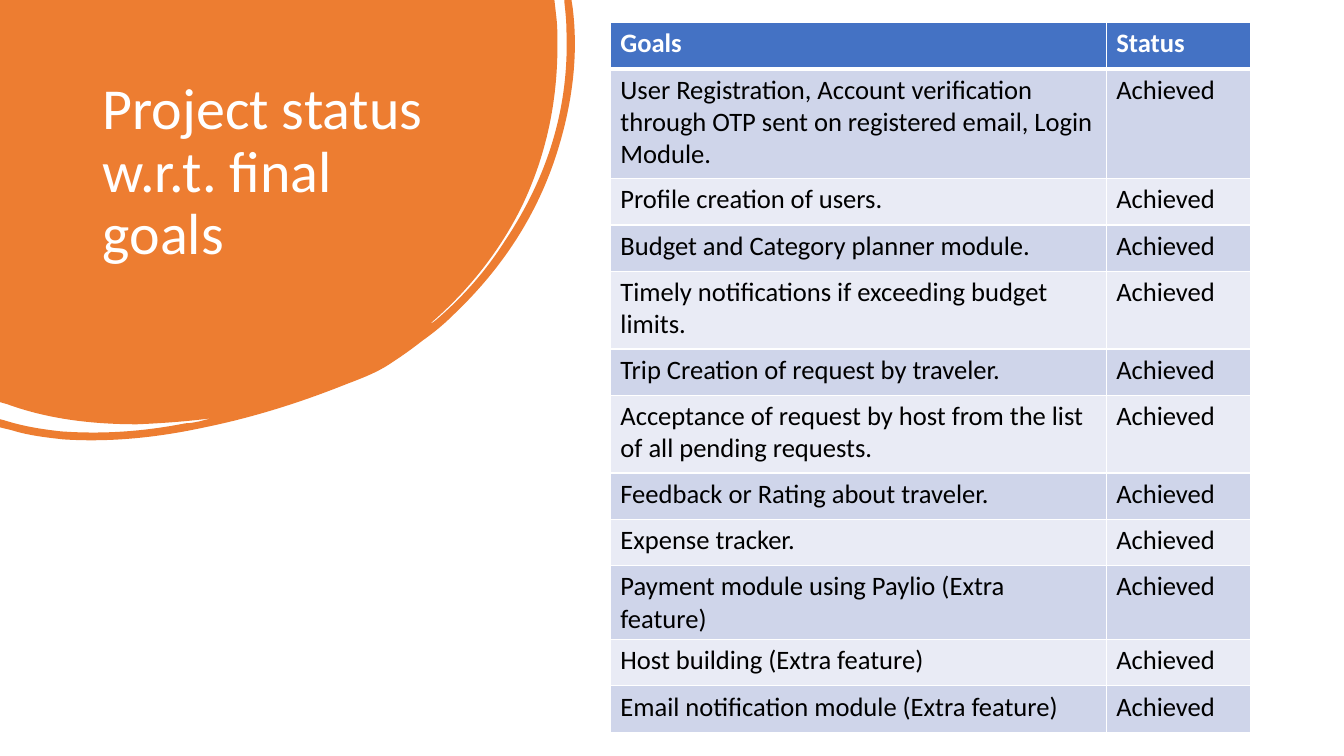
from lxml import etree
from pptx import Presentation
from pptx.dml.color import RGBColor
from pptx.enum.text import MSO_ANCHOR
from pptx.oxml.ns import qn
from pptx.util import Pt

TOP = MSO_ANCHOR.TOP
FONT = "Calibri"
ORANGE, BLUE, WHITE, BLACK = "ED7D31", "4472C4", "FFFFFF", "000000"
BANDS = ("CFD5EA", "E9EBF5")

BLOB_SIZE = (411.1, 314.6)
BLOB_START = (0, 0)
BLOB_SEGMENTS = [
    (396, 0),
    (397.4, 12.2),
    (398.2, 18.7, 398.2, 25.9, 398.2, 32.4),
    (398.2, 72.7, 390.2, 110.9, 373, 146.9),
    (357.1, 179.3, 334.8, 207.4, 307.4, 231.1),
    (308.9, 231.1, 309.6, 229.7, 311, 229),
    (330.5, 212.4, 347, 193.7, 360.7, 172.1),
    (391, 126.7, 406.8, 77, 404.6, 21.6),
    (404.6, 15.1, 403.9, 8.6, 403.2, 2.2),
    (403.2, 0),
    (408.2, 0),
    (409, 5),
    (413.3, 38.9, 409, 73.4, 398.2, 108),
    (383.8, 154.1, 357.8, 193, 322.6, 226.1),
    (316.1, 232.6, 308.9, 238.3, 301.7, 243.4),
    (294.5, 249.1, 287.3, 254.2, 278.6, 259.9),
    (270, 265.7, 259.2, 270, 247.7, 274.3),
    (215.3, 287.3, 181.4, 298.1, 146.2, 305.3),
    (113, 312.5, 79.2, 316.1, 45.4, 313.9),
    (32.4, 312.5, 20.2, 311, 8.6, 307.4),
    (0, 305.3),
    (0, 299.5),
    (2.9, 300.2),
    (16.6, 304.6, 30.2, 306.7, 43.9, 308.2),
    (74.2, 310.3, 103, 308.2, 132.5, 302.4),
    (136.1, 302.4, 139, 301.7, 142.6, 301),
    (145.4, 300.2, 148.3, 299.5, 151.2, 298.8),
    (133.9, 301, 115.9, 302.4, 97.9, 303.1),
    (66.2, 303.1, 34.6, 299.5, 5, 288.7),
    (0, 287.3),
]

ONE_LINE, TWO_LINES, THREE_LINES = 33.1, 55.5, 78.4
GOALS = [
    ("User Registration, Account verification through OTP sent on "
     "registered email, Login Module.", THREE_LINES),
    ("Profile creation of users.", ONE_LINE),
    ("Budget and Category planner module.", ONE_LINE),
    ("Timely notifications if exceeding budget limits.", TWO_LINES),
    ("Trip Creation of request by traveler.", ONE_LINE),
    ("Acceptance of request by host from the list of all pending requests.", TWO_LINES),
    ("Feedback or Rating about traveler.", ONE_LINE),
    ("Expense tracker.", ONE_LINE),
    ("Payment module using Paylio (Extra feature)", ONE_LINE),
    ("Host building (Extra feature)", ONE_LINE),
    ("Email notification module (Extra feature)", ONE_LINE),
]
COLUMN_WIDTHS = (354.2, 103.2)


def color(hex_value):
    return RGBColor.from_string(hex_value)


def write(frame, text, size=19, ink=BLACK, bold=False, spacing=None):
    paragraph = frame.paragraphs[0]
    paragraph.line_spacing = spacing
    run = paragraph.add_run()
    run.text = text
    run.font.name = FONT
    run.font.size = Pt(size)
    run.font.bold = bold
    run.font.color.rgb = color(ink)


def bend(line, numbers):
    line.tag = qn("a:cubicBezTo")
    for child in list(line):
        line.remove(child)
    for x, y in zip(numbers[::2], numbers[1::2]):
        etree.SubElement(line, qn("a:pt"), x=str(Pt(x)), y=str(Pt(y)))


def border(cell, widths):
    properties = cell._tc.get_or_add_tcPr()
    for position, (side, width) in enumerate(zip("LRTB", widths)):
        line = etree.Element(qn(f"a:ln{side}"), w=str(Pt(width)))
        fill = etree.SubElement(line, qn("a:solidFill"))
        etree.SubElement(fill, qn("a:srgbClr"), val=WHITE)
        properties.insert(position, line)


class StatusSlide:
    def __init__(self, presentation):
        self.shapes = presentation.slides.add_slide(presentation.slide_layouts[6]).shapes

    def outline(self, start, segments, size, fill):
        builder = self.shapes.build_freeform(Pt(start[0]), Pt(start[1]))
        builder.add_line_segments([(Pt(s[-2]), Pt(s[-1])) for s in segments], close=True)
        shape = builder.convert_to_shape()
        shape.width, shape.height = Pt(size[0]), Pt(size[1])
        contour = next(shape._element.iter(qn("a:path")))
        contour.set("w", str(Pt(size[0])))
        contour.set("h", str(Pt(size[1])))
        for line, segment in zip(contour.findall(qn("a:lnTo")), segments):
            if len(segment) == 6:
                bend(line, segment)
        shape.shadow.inherit = False
        shape.fill.solid()
        shape.fill.fore_color.rgb = color(fill)
        shape.line.fill.background()

    def title(self, text, left, top, width, height):
        frame = self.shapes.add_textbox(Pt(left), Pt(top), Pt(width), Pt(height)).text_frame
        frame.word_wrap = True
        frame.vertical_anchor = TOP
        write(frame, text, size=41.4, ink=WHITE, spacing=0.9)

    def goals_table(self, left, top):
        heights = [ONE_LINE] + [height for _, height in GOALS]
        table = self.shapes.add_table(
            len(heights), len(COLUMN_WIDTHS), Pt(left), Pt(top),
            Pt(sum(COLUMN_WIDTHS)), Pt(sum(heights))).table
        for column, width in zip(table.columns, COLUMN_WIDTHS):
            column.width = Pt(width)
        for row, height in zip(table.rows, heights):
            row.height = Pt(height)
        self.table_row(table, 0, ("Goals", "Status"), BLUE, (1, 1, 1, 3), ink=WHITE, bold=True)
        for index, (goal, _) in enumerate(GOALS):
            above = 1 if index else 3
            self.table_row(table, index + 1, (goal, "Achieved"), BANDS[index % 2],
                           (1, 1, above, 1))

    def table_row(self, table, index, texts, fill, borders, **style):
        for cell, text in zip(table.rows[index].cells, texts):
            cell.fill.solid()
            cell.fill.fore_color.rgb = color(fill)
            border(cell, borders)
            write(cell.text_frame, text, **style)


def main():
    presentation = Presentation()
    presentation.slide_width = Pt(960)
    presentation.slide_height = Pt(540)
    slide = StatusSlide(presentation)
    slide.outline(BLOB_START, BLOB_SEGMENTS, BLOB_SIZE, ORANGE)
    slide.title("Project status w.r.t. final goals", 66.2, 53.3, 253.4, 159.8)
    slide.goals_table(436, 16.2)
    presentation.save("out.pptx")


if __name__ == "__main__":
    main()
